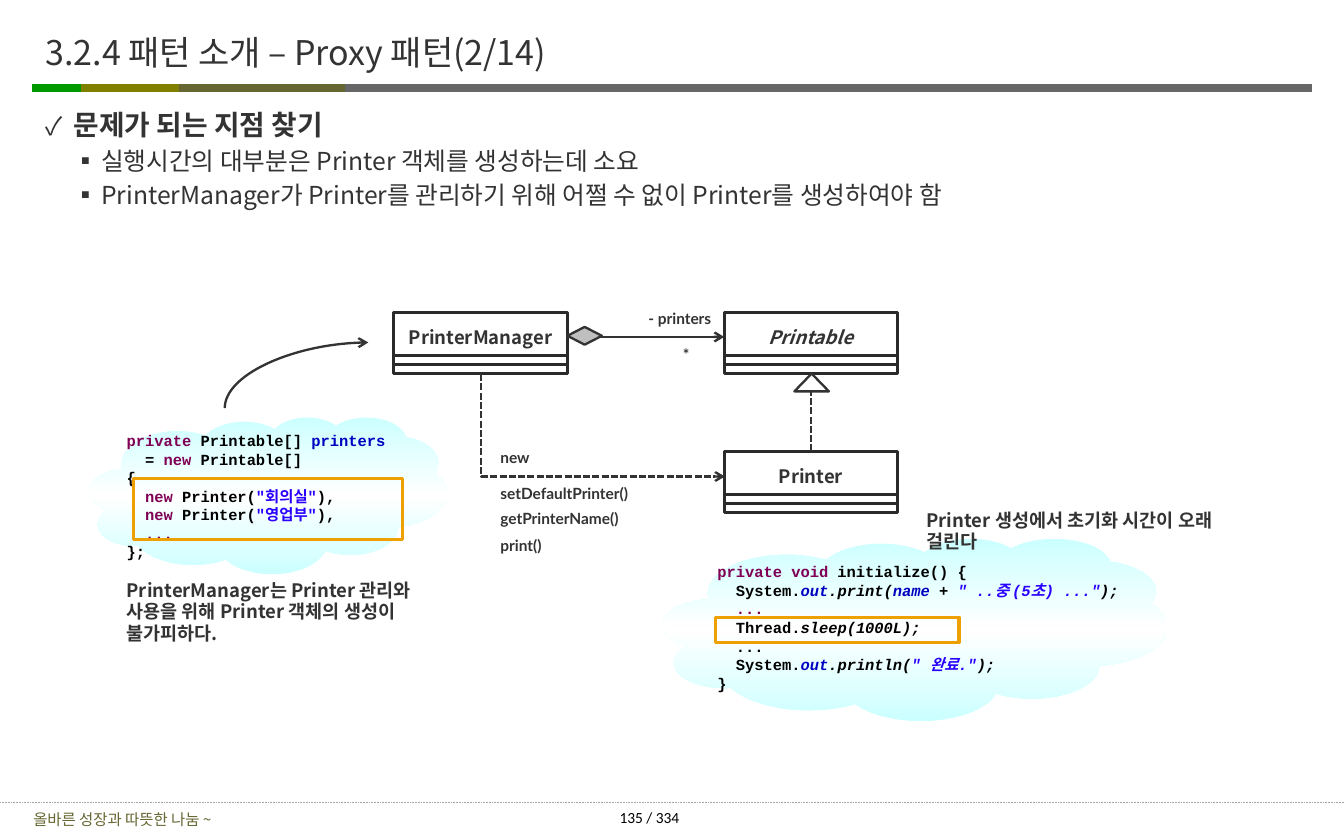
from copy import deepcopy
from dataclasses import dataclass
from typing import NamedTuple

from lxml import etree
from pptx import Presentation
from pptx.dml.color import RGBColor
from pptx.enum.dml import MSO_LINE
from pptx.enum.shapes import MSO_CONNECTOR, MSO_SHAPE
from pptx.enum.text import MSO_ANCHOR, MSO_AUTO_SIZE, PP_ALIGN
from pptx.oxml.ns import qn
from pptx.util import Pt

PX = 9144
STRAIGHT, ELBOW, CURVE = MSO_CONNECTOR.STRAIGHT, MSO_CONNECTOR.ELBOW, MSO_CONNECTOR.CURVE
RECT, CLOUD = MSO_SHAPE.RECTANGLE, MSO_SHAPE.CLOUD
DIAMOND, TRIANGLE = MSO_SHAPE.DIAMOND, MSO_SHAPE.ISOSCELES_TRIANGLE
SYS_DASH, SYS_DOT = MSO_LINE.SQUARE_DOT, MSO_LINE.ROUND_DOT
LEFT, CENTER = PP_ALIGN.LEFT, PP_ALIGN.CENTER
TOP, MIDDLE = MSO_ANCHOR.TOP, MSO_ANCHOR.MIDDLE
NO_FIT, GROW = MSO_AUTO_SIZE.NONE, MSO_AUTO_SIZE.SHAPE_TO_FIT_TEXT
KOREAN, MONO, LABEL = "Noto Sans CJK KR", "Courier New", "Lato"
INK, OUTLINE, WHITE, ORANGE = "333333", "2A2A2A", "FFFFFF", "EFA001"
TIGHT = {f"margin_{side}": 4 * PX for side in ("left", "top", "right", "bottom")}
CODE_COLOURS = {"key": "7F0055", "plain": "000000", "field": "0000C0", "text": "2A00FF"}


class Box(NamedTuple):
    left: int
    top: int
    width: int
    height: int


class Token(NamedTuple):
    role: str
    text: str
    italic: bool = False


@dataclass
class Style:
    size: int
    font: str = KOREAN
    colour: str = INK
    bold: bool = False
    italic: bool = False


@dataclass
class Bullet:
    text: str
    level: int
    mark: str
    mark_percent: int
    pitch: int
    before: int
    style: Style


@dataclass
class Caption:
    box: Box
    text: str
    style: Style
    align: PP_ALIGN = LEFT
    anchor: MSO_ANCHOR = TOP
    pitch: int | None = None


@dataclass
class UmlClass:
    name: str
    left: int
    top: int
    italic: bool = False


@dataclass
class Code:
    box: Box
    cloud: Box
    highlight: Box
    lines: list[list[Token]]


def emu(lengths) -> list[int]:
    return [length * PX for length in lengths]


def colour(value: str) -> RGBColor:
    return RGBColor.from_string(value)


def set_all(target, values: dict) -> None:
    for name, value in values.items():
        setattr(target, name, value)


def write(paragraph, text: str, style: Style) -> None:
    run = paragraph.add_run()
    run.text = text
    set_all(run.font, {"size": Pt(style.size), "bold": style.bold,
                       "italic": style.italic, "name": style.font})
    run.font.color.rgb = colour(style.colour)
    latin = run.font._element.find(qn("a:latin"))
    east_asian = etree.Element(qn("a:ea"), typeface=KOREAN)
    latin.addnext(east_asian)


def stroke(line, value: str, width: float, dash=None, arrow: bool = False) -> None:
    line.color.rgb = colour(value)
    line.width = Pt(width)
    if dash:
        line.dash_style = dash
    if arrow:
        etree.SubElement(line._get_or_add_ln(), qn("a:tailEnd"), type="arrow")


def connect(slide, kind, ends, value=INK, width=1.5, dash=None, arrow=False):
    connector = slide.shapes.add_connector(kind, *emu(ends))
    stroke(connector.line, value, width, dash, arrow)
    etree.SubElement(connector._element.spPr, qn("a:effectLst"))
    return connector


def bend(connector, preset: str, turn: dict[str, str]) -> None:
    properties = connector._element.spPr
    properties.find(qn("a:prstGeom")).set("prst", preset)
    for name, value in turn.items():
        properties.find(qn("a:xfrm")).set(name, value)


def add_part(slide, kind, box: Box, fill: str | None, edge: str | None, width: float = 2):
    part = slide.shapes.add_shape(kind, *emu(box))
    part.shadow.inherit = False
    if fill:
        part.fill.solid()
        part.fill.fore_color.rgb = colour(fill)
    else:
        part.fill.background()
    if edge:
        stroke(part.line, edge, width)
    else:
        part.line.fill.background()
    return part


def add_cloud(slide, box: Box) -> None:
    fill = add_part(slide, CLOUD, box, None, None).fill
    fill.gradient()
    fill.gradient_angle = 90
    first = fill._xPr.find(qn("a:gradFill")).find(qn("a:gsLst"))[0]
    first.addnext(deepcopy(first))
    for stop, (position, shade) in zip(fill.gradient_stops, ((0, "CCFFFF"), (0.5, WHITE), (1, "CCFFFF"))):
        stop.position = position
        stop.color.rgb = colour(shade)


def add_frame(slide, box: Box, anchor=TOP):
    frame = slide.shapes.add_textbox(*emu(box)).text_frame
    set_all(frame, {"word_wrap": True, "auto_size": GROW, "vertical_anchor": anchor})
    return frame


def add_caption(slide, caption: Caption) -> None:
    paragraph = add_frame(slide, caption.box, caption.anchor).paragraphs[0]
    paragraph.alignment = caption.align
    if caption.pitch:
        paragraph.line_spacing = Pt(caption.pitch)
    write(paragraph, caption.text, caption.style)


def add_code(slide, code: Code) -> None:
    add_cloud(slide, code.cloud)
    frame = add_frame(slide, code.box)
    for index, tokens in enumerate(code.lines):
        paragraph = frame.add_paragraph() if index else frame.paragraphs[0]
        paragraph.line_spacing = Pt(12)
        for token in tokens:
            write(paragraph, token.text, Style(10, MONO, CODE_COLOURS[token.role], True, token.italic))
    add_part(slide, RECT, code.highlight, None, ORANGE)


def add_uml_class(slide, uml: UmlClass):
    header, _, operations = [
        add_part(slide, RECT, Box(uml.left, uml.top + offset, 156, height), WHITE, OUTLINE)
        for offset, height in ((0, 44), (39, 9), (47, 8))]
    set_all(header.text_frame, {"word_wrap": False, "vertical_anchor": MIDDLE})
    name = header.text_frame.paragraphs[0]
    name.alignment = CENTER
    write(name, uml.name, Style(12, bold=True, italic=uml.italic))
    return header, operations


def fill_placeholder(holder, box: Box, anchor):
    set_all(holder, dict(zip(("left", "top", "width", "height"), emu(box))))
    set_all(holder.text_frame, {**TIGHT, "word_wrap": True, "auto_size": NO_FIT, "vertical_anchor": anchor})
    return holder.text_frame


def add_bullet(paragraph, bullet: Bullet) -> None:
    set_all(paragraph, {"level": bullet.level, "alignment": LEFT,
                        "line_spacing": Pt(bullet.pitch), "space_before": Pt(bullet.before)})
    properties = paragraph._p.get_or_add_pPr()
    properties.set("marL", str(25 * PX * (bullet.level + 1)))
    properties.set("indent", str(-25 * PX))
    tint = etree.SubElement(properties, qn("a:buClr"))
    etree.SubElement(tint, qn("a:srgbClr"), val=INK)
    etree.SubElement(properties, qn("a:buSzPct"), val=str(bullet.mark_percent * 1000))
    etree.SubElement(properties, qn("a:buFont"), typeface=KOREAN)
    etree.SubElement(properties, qn("a:buChar"), char=bullet.mark)
    write(paragraph, bullet.text, bullet.style)


BULLETS = [Bullet("문제가 되는 지점 찾기", 0, "✓", 90, 23, 0, Style(18, bold=True))] + [
    Bullet(text, 1, "▪", 100, 19, 3, Style(16)) for text in (
        "실행시간의 대부분은 Printer 객체를 생성하는데 소요",
        "PrinterManager가 Printer를 관리하기 위해 어쩔 수 없이 Printer를 생성하여야 함")]
RULES = [(298, 1179, "666666"), (29, 109, "009900"), (73, 166, "808000"), (161, 310, "666633")]
CLASSES = [UmlClass("Printable", 651, 281, True), UmlClass("PrinterManager", 354, 281),
           UmlClass("Printer", 651, 406)]
NOTE, TAG = Style(12, bold=True), Style(10, LABEL, bold=True)
CAPTIONS = [Caption(Box(left, top, width, 27), text, TAG) for left, top, width, text in (
    (573, 273, 86, "- printers"), (604, 305, 29, "*"), (440, 398, 50, "new"),
    (440, 430, 155, "setDefaultPrinter()"), (440, 453, 146, "getPrinterName()"), (440, 477, 67, "print()"))]
CAPTIONS += [
    Caption(Box(0, 724, 220, 26), "올바른 성장과 따뜻한 나눔 ~", Style(10, colour="666633"), CENTER, MIDDLE),
    Caption(Box(547, 722, 95, 27), "135 / 334", Style(10, "Calibri", "000000")),
    Caption(Box(823, 453, 320, 30), "Printer 생성에서 초기화 시간이 오래 걸린다", NOTE, pitch=14),
    Caption(Box(104, 516, 320, 50),
            "PrinterManager는 Printer 관리와 사용을 위해 Printer 객체의 생성이 불가피하다.", NOTE, pitch=14)]


def print_call(method: str, arguments: list[Token]) -> list[Token]:
    return [Token("plain", "  System."), Token("field", "out", True), Token("plain", f".{method}(", True),
            *arguments, Token("plain", ");", True)]


def new_printer(place: str) -> list[Token]:
    return [Token("key", "  new"), Token("plain", " Printer("), Token("text", f'"{place}"'), Token("plain", "),")]


CODES = [
    Code(Box(635, 501, 398, 127), Box(596, 484, 453, 164), Box(643, 555, 219, 23), [
        [Token("key", "private void"), Token("plain", " initialize() {")],
        print_call("print", [Token("field", "name", True), Token("plain", " + ", True),
                             Token("text", '" ..중 (5초) ..."', True)]),
        [Token("key", "  ...")],
        [Token("plain", "  Thread."), Token("plain", "sleep(1000L);", True)],
        [Token("plain", "  ...")],
        print_call("println", [Token("text", '" 완료."', True)]),
        [Token("plain", "}")]]),
    Code(Box(104, 383, 281, 128), Box(81, 375, 320, 141), Box(120, 430, 242, 55), [
        [Token("key", "private"), Token("plain", " Printable[] "), Token("field", "printers")],
        [Token("plain", "  = "), Token("key", "new"), Token("plain", " Printable[]")],
        [Token("plain", "{")],
        new_printer("회의실"), new_printer("영업부"),
        [Token("key", "  ...")],
        [Token("plain", "};")]])]


def main() -> None:
    deck = Presentation()
    deck.slide_width, deck.slide_height = emu((1208, 750))
    slide = deck.slides.add_slide(deck.slide_layouts[1])

    for start, end, shade in RULES:
        connect(slide, STRAIGHT, (start, 79, end, 79), shade, 5)
    connect(slide, STRAIGHT, (0, 722, 1208, 722), "A6A6A6", 0.5, SYS_DOT)

    heading = fill_placeholder(slide.shapes.title, Box(37, 15, 1000, 63), MIDDLE).paragraphs[0]
    heading.alignment = LEFT
    write(heading, "3.2.4 패턴 소개 – Proxy 패턴(2/14)", Style(22))
    body = fill_placeholder(slide.placeholders[1], Box(37, 91, 1150, 123), TOP)
    for index, bullet in enumerate(BULLETS):
        add_bullet(body.add_paragraph() if index else body.paragraphs[0], bullet)

    parts = {uml.name: add_uml_class(slide, uml) for uml in CLASSES}
    realization = connect(slide, STRAIGHT, (729, 406, 729, 336), dash=SYS_DASH)
    realization.begin_connect(parts["Printer"][0], 0)
    realization.end_connect(parts["Printable"][1], 2)
    add_part(slide, TRIANGLE, Box(714, 336, 31, 16), WHITE, INK, 1.5)
    aggregation = connect(slide, STRAIGHT, (510, 303, 651, 303), arrow=True)
    aggregation.begin_connect(parts["PrinterManager"][0], 3)
    aggregation.end_connect(parts["Printable"][0], 1)
    add_part(slide, DIAMOND, Box(510, 294, 31, 16), "BFBFBF", INK, 1.5)
    creation = connect(slide, ELBOW, (496, 273, 588, 492), dash=SYS_DASH, arrow=True)
    bend(creation, "bentConnector2", {"rot": "16200000", "flipH": "1"})

    for code in CODES:
        add_code(slide, code)
    code_pointer = connect(slide, CURVE, (237, 273, 296, 402), arrow=True)
    bend(code_pointer, "curvedConnector2", {"rot": "5400000", "flipH": "1", "flipV": "1"})
    for caption in CAPTIONS:
        add_caption(slide, caption)
    deck.save("out.pptx")


if __name__ == "__main__":
    main()
